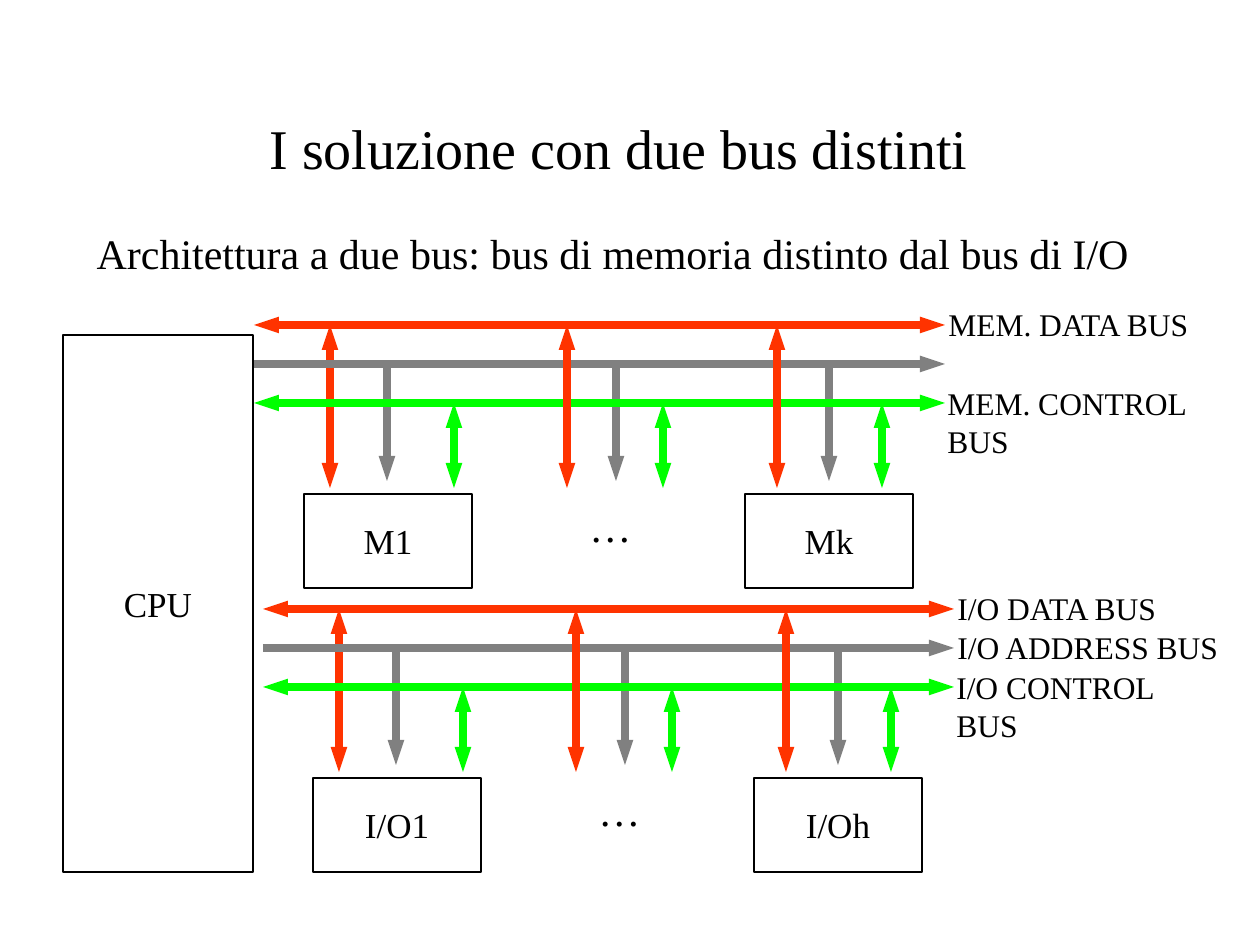
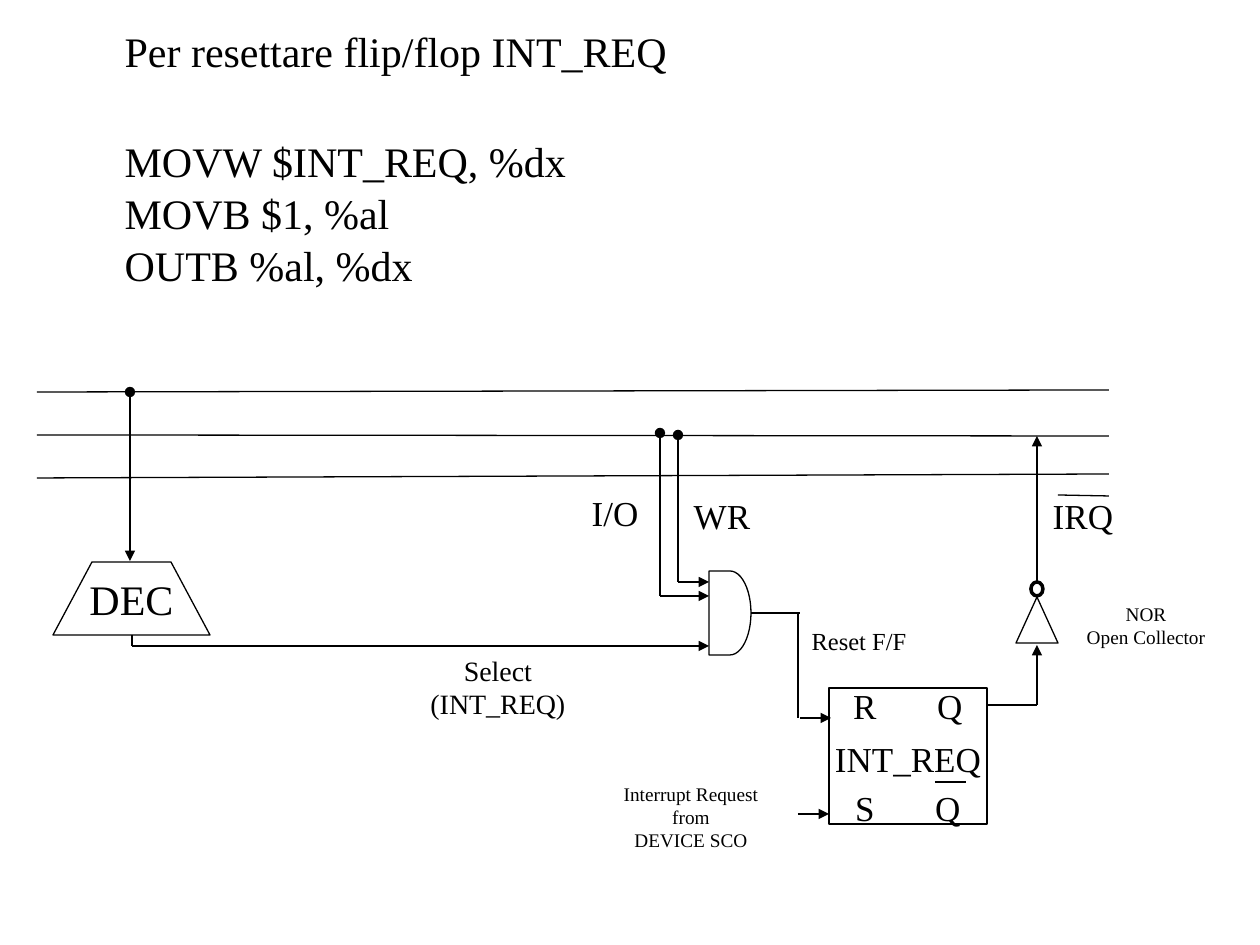
from lxml.etree import SubElement
from pptx import Presentation
from pptx.dml.color import RGBColor
from pptx.enum.shapes import MSO_CONNECTOR as CONNECTOR, MSO_SHAPE as SHAPE
from pptx.enum.text import MSO_ANCHOR as ANCHOR, MSO_AUTO_SIZE as AUTO_SIZE, PP_ALIGN as ALIGN
from pptx.oxml.ns import qn
from pptx.util import Pt

PX = 914400 // 126
FONT = "Times New Roman"
color = RGBColor.from_string
BLACK, WHITE, RED, GRAY, GREEN = "000000", "FFFFFF", "FF3300", "808080", "00FF00"


def write(shape, text, size, align=ALIGN.CENTER, anchor=ANCHOR.TOP, wrap=True, before=0):
    frame = shape.text_frame
    frame.text = text
    frame.word_wrap = wrap
    frame.auto_size = AUTO_SIZE.NONE
    frame.vertical_anchor = anchor
    for paragraph in frame.paragraphs:
        paragraph.alignment = align
        paragraph.space_before = Pt(before)
        if shape.is_placeholder:
            properties = paragraph._p.get_or_add_pPr()
            properties.set("marL", "0")
            properties.set("indent", "0")
            SubElement(properties, qn("a:buNone"))
        paragraph.font.name = FONT
        paragraph.font.size = Pt(size)
        paragraph.font.color.rgb = color(BLACK)


def add_line(slide, x1, y1, x2, y2, head=None, tail=None, stroke=BLACK, width=0.75):
    connector = slide.shapes.add_connector(
        CONNECTOR.STRAIGHT, x1 * PX, y1 * PX, x2 * PX, y2 * PX)
    connector.line.color.rgb = color(stroke)
    connector.line.width = Pt(width)
    properties = connector.element.spPr
    outline = properties.find(qn("a:ln"))
    for tag, kind in (("a:headEnd", head), ("a:tailEnd", tail)):
        if kind:
            SubElement(outline, qn(tag), type=kind, w="sm" if width > 1 else "med", len="med")
    SubElement(properties, qn("a:effectLst"))
    return connector


presentation = Presentation()
presentation.slide_width = 1260 * PX
presentation.slide_height = 945 * PX
layout = presentation.slide_layouts[1]
bus_slide = presentation.slides.add_slide(layout)
reset_slide = presentation.slides.add_slide(layout)

# Titles and body texts of both slides
code = "MOVW $INT_REQ, %dx\nMOVB $1, %al\nOUTB %al, %dx"
for slide, index, left, top, width, height, text, size, align, anchor, before in (
    (bus_slide, 0, 94, 84, 1050, 126, "I soluzione con due bus distinti",
     32, ALIGN.CENTER, ANCHOR.MIDDLE, 0),
    (bus_slide, 1, 84, 221, 1113, 63,
     "Architettura a due bus: bus di memoria distinto dal bus di I/O",
     24, ALIGN.LEFT, ANCHOR.TOP, 0),
    (reset_slide, 0, 112, 19, 853, 63, "Per resettare flip/flop INT_REQ",
     24, ALIGN.LEFT, ANCHOR.TOP, 0),
    (reset_slide, 1, 112, 129, 853, 180, code, 24, ALIGN.LEFT, ANCHOR.TOP, 1),
):
    shape = slide.placeholders[index]
    shape.left, shape.top, shape.width, shape.height = (
        left * PX, top * PX, width * PX, height * PX)
    write(shape, text, size, align, anchor, before=before)

# Slide 1: each bus has its height, the end of its drops, a colour and a head
DATA = (325, 488, RED, "triangle")
ADDRESS = (364, 481, GRAY, None)
CONTROL = (403, 488, GREEN, "triangle")
# From back to front; no columns means the bus itself
layers = (
    (DATA, [330]), (ADDRESS, [387, 616, 829]),
    (DATA, []), (ADDRESS, []), (CONTROL, []),
    (CONTROL, [454, 663, 882]), (DATA, [567, 777]),
)
memory_labels = ((936, 299, 290, "MEM. DATA BUS"), (935, 378, 268, "MEM. CONTROL BUS"))
io_labels = ((936, 299, 290, "I/O DATA BUS"), (936, 338, 290, "I/O ADDRESS BUS"),
             (935, 378, 268, "I/O CONTROL BUS"))

boxes = [(63, 335, 190, 537, "CPU")]
for dx, dy, first, last, labels in (
    (0, 0, "M1", "Mk", memory_labels), (9, 284, "I/O1", "I/Oh", io_labels),
):
    for (y, drop_end, stroke, head), columns in layers:
        for x in columns:
            add_line(bus_slide, x + dx, y + dy, x + dx, drop_end + dy,
                     head, "triangle", stroke, 4.75)
        if not columns:
            add_line(bus_slide, 254 + dx, y + dy, 945 + dx, y + dy,
                     head, "triangle", stroke, 4.75)
    for left, top, width, text in labels:
        label = bus_slide.shapes.add_textbox(
            (left + dx) * PX, (top + dy) * PX, width * PX, 50 * PX)
        write(label, text, 18, ALIGN.LEFT)
    dots = bus_slide.shapes.add_textbox((577 + dx) * PX, (494 + dy) * PX, 147 * PX, 63 * PX)
    write(dots, "…", 24, ALIGN.LEFT)
    boxes += [(304 + dx, 494 + dy, 168, 94, first), (745 + dx, 494 + dy, 168, 94, last)]

for left, top, width, height, text in boxes:
    box = bus_slide.shapes.add_shape(
        SHAPE.RECTANGLE, left * PX, top * PX, width * PX, height * PX)
    box.shadow.inherit = False
    box.fill.background()
    box.line.color.rgb = color(BLACK)
    box.line.width = Pt(0.75)
    write(box, text, 20, anchor=ANCHOR.MIDDLE, wrap=False)

# Slide 2: bus lines, wires and overlines
for x1, y1, x2, y2, head, tail in (
    (37, 392, 1109, 390, None, None),
    (37, 435, 1109, 436, None, None),
    (37, 478, 1109, 474, None, None),
    (130, 392, 130, 561, "oval", "triangle"),      # bus to decoder
    (132, 635, 132, 646, None, None),              # decoder to gate
    (132, 646, 709, 646, None, "triangle"),
    (678, 582, 678, 435, None, "oval"),            # WR to gate
    (678, 582, 709, 582, None, "triangle"),
    (660, 596, 660, 433, None, "oval"),            # I/O to gate
    (660, 596, 709, 596, None, "triangle"),
    (798, 718, 798, 613, None, None),              # gate to reset
    (800, 718, 831, 718, None, "triangle"),
    (798, 814, 829, 814, None, "triangle"),        # device to set
    (987, 705, 1037, 705, None, None),             # flip-flop to inverter
    (1037, 705, 1037, 645, None, "triangle"),
    (935, 782, 966, 782, None, None),              # overline of Q
    (1058, 495, 1109, 496, None, None),            # overline of IRQ
):
    add_line(reset_slide, x1, y1, x2, y2, head, tail)

# Decoder
builder = reset_slide.shapes.build_freeform(53, 635, PX)
builder.add_line_segments([(92, 562), (171, 562), (210, 635)], close=True)
decoder = builder.convert_to_shape()

# Gate, flip-flop and inverter
gate, flip_flop, inverter, bubble = [
    reset_slide.shapes.add_shape(kind, left * PX, top * PX, width * PX, height * PX)
    for kind, left, top, width, height in (
        (SHAPE.FLOWCHART_DELAY, 709, 571, 42, 84),
        (SHAPE.RECTANGLE, 829, 688, 158, 136),
        (SHAPE.ISOSCELES_TRIANGLE, 1016, 597, 42, 46),
        (SHAPE.OVAL, 1031, 582, 12, 14),
    )
]
for shape in (decoder, gate, flip_flop, inverter, bubble):
    shape.shadow.inherit = False
    shape.fill.background()
    shape.line.color.rgb = color(BLACK)
    shape.line.width = Pt(0.75)
bubble.fill.solid()
bubble.fill.fore_color.rgb = color(WHITE)
bubble.line.width = Pt(2)
write(decoder, "DEC", 24, anchor=ANCHOR.MIDDLE, wrap=False)

add_line(reset_slide, 751, 613, 800, 613).begin_connect(gate, 3)
add_line(reset_slide, 1037, 582, 1037, 436, tail="triangle").begin_connect(bubble, 0)

# Labels, centred on x
for center, top, width, height, text, size in (
    (865, 678, 50, 55, "R", 20),
    (950, 678, 50, 55, "Q", 20),
    (865, 780, 50, 55, "S", 20),
    (948, 780, 50, 55, "Q", 20),
    (908, 731, 172, 55, "INT_REQ", 20),
    (615, 485, 72, 55, "I/O", 20),
    (722, 488, 82, 55, "WR", 20),
    (1083, 488, 86, 55, "IRQ", 20),
    (859, 620, 120, 43, "Reset F/F", 14),
    (498, 647, 192, 81, "Select\n(INT_REQ)", 16),
    (691, 776, 160, 82, "Interrupt Request\nfrom\nDEVICE SCO", 11),
    (1146, 596, 144, 59, "NOR\nOpen Collector", 11),
):
    label = reset_slide.shapes.add_textbox(
        (center - width // 2) * PX, top * PX, width * PX, height * PX)
    write(label, text, size, wrap=False)

presentation.save("out.pptx")
